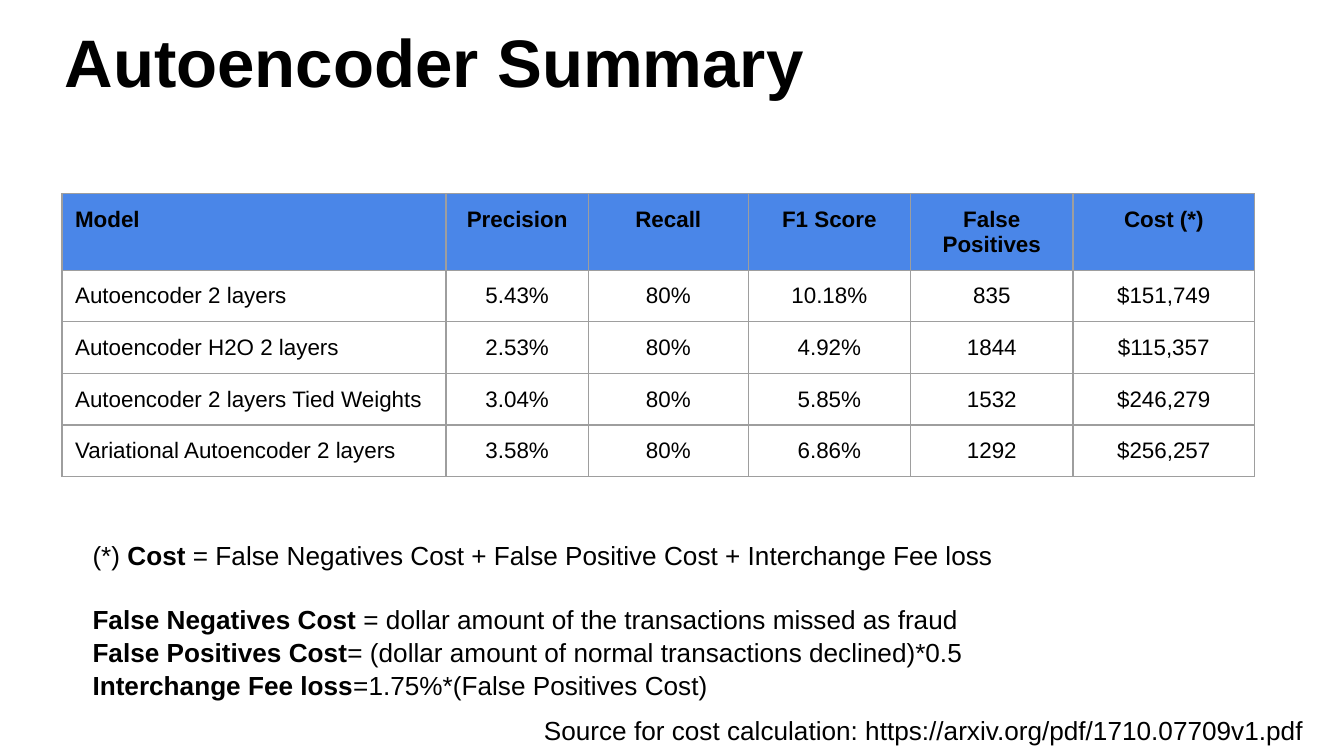
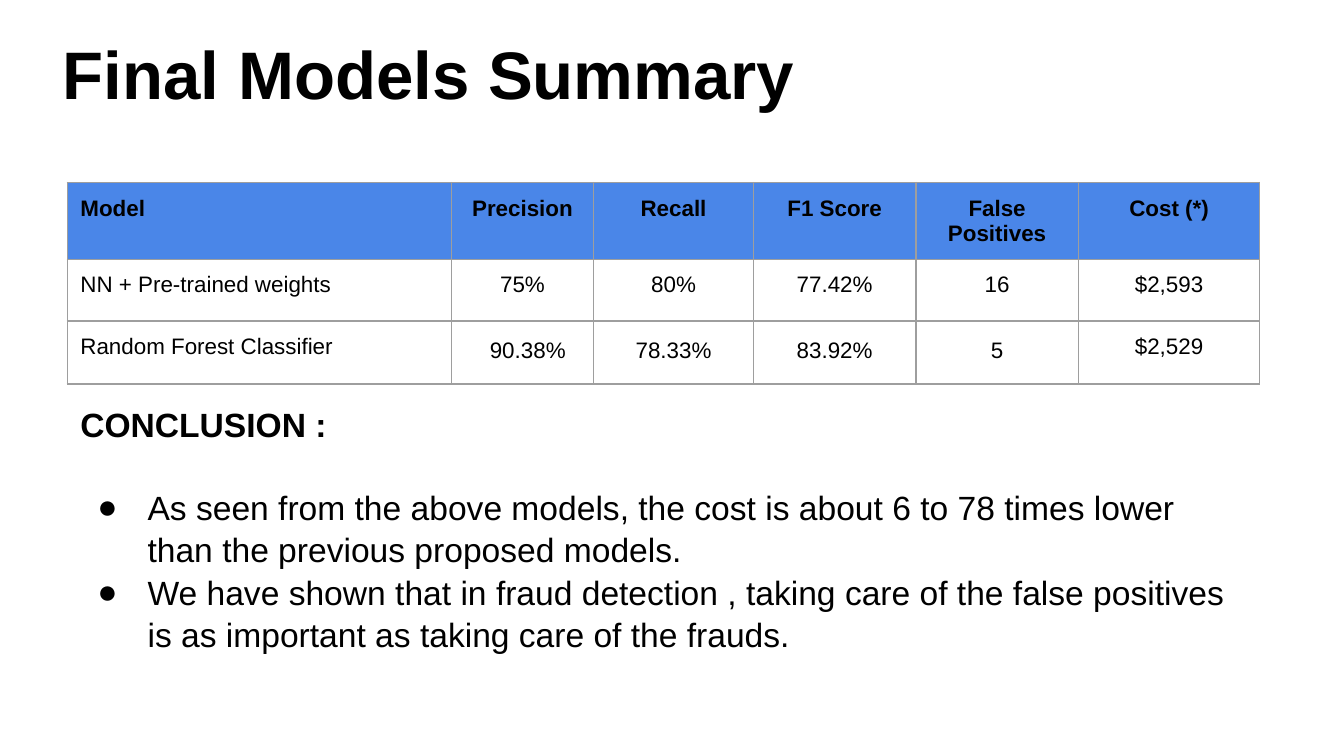
from lxml import etree
from pptx import Presentation
from pptx.dml.color import RGBColor
from pptx.enum.text import MSO_ANCHOR as Anchor, MSO_AUTO_SIZE as AutoSize, PP_ALIGN as Align
from pptx.oxml.ns import qn
from pptx.util import Cm, Pt

BLACK = RGBColor(0x00, 0x00, 0x00)
BLUE = RGBColor(0x4A, 0x86, 0xE8)
GREY = RGBColor(0x9E, 0x9E, 0x9E)
FONT = "Arial"
INSET = Cm(0.25)
TABLE_WIDTH = 22.53
COLUMN_WIDTHS = [7.26, 2.69, 3.02, 3.07, 3.07, 3.43]
HEADINGS = ["Model", "Precision", "Recall", "F1 Score", "False Positives", "Cost (*)"]


def add_spans(para, spans, size):
    """Add (text, bold) runs to a paragraph."""
    for text, bold in spans:
        span = para.add_run()
        span.text = text
        span.font.name = FONT
        span.font.size = Pt(size)
        span.font.bold = bold
        span.font.color.rgb = BLACK


def set_up_frame(box):
    """Give a text shape the common insets, wrapping and top anchor."""
    frame = box.text_frame
    frame.word_wrap = True
    frame.auto_size = AutoSize.NONE
    frame.vertical_anchor = Anchor.TOP
    frame.margin_left = frame.margin_right = INSET
    frame.margin_top = frame.margin_bottom = INSET
    return frame


# Content: lengths in cm; a note line is (spans, space before in points, bulleted)
autoencoder_page = {
    "title": "Autoencoder Summary",
    "title_place": (0.97, 0.13, 23.22, 2.06),
    "table_place": (1.17, 3.66),
    "row_heights": [1.3, 0.86, 0.86, 0.86, 0.86],
    "results": [
        ["Autoencoder 2 layers", "5.43%", "80%", "10.18%", "835", "$151,749"],
        ["Autoencoder H2O 2 layers", "2.53%", "80%", "4.92%", "1844", "$115,357"],
        ["Autoencoder 2 layers Tied Weights", "3.04%", "80%", "5.85%", "1532", "$246,279"],
        ["Variational Autoencoder 2 layers", "3.58%", "80%", "6.86%", "1292", "$256,257"],
    ],
    "notes": [
        ((1.5, 9.91, TABLE_WIDTH, 3.35), 14, 1.05, [
            ([("(*) ", False), ("Cost", True),
              (" = False Negatives Cost + False Positive Cost + Interchange Fee loss", False)], 0, False),
            ([("False Negatives Cost", True),
              (" = dollar amount of the transactions missed as fraud", False)], 17, False),
            ([("False Positives Cost", True),
              ("= (dollar amount of normal transactions declined)*0.5", False)], 0, False),
            ([("Interchange Fee loss", True), ("=1.75%*(False Positives Cost)", False)], 0, False),
        ]),
        ((10.03, 13.26, 14.91, 0.69), 14, 1, [
            ([("Source for cost calculation: https://arxiv.org/pdf/1710.07709v1.pdf", False)], 0, False),
        ]),
    ],
}
final_page = {
    "title": "Final Models Summary",
    "title_place": (0.94, 0.36, 23.22, 1.88),
    "table_place": (1.27, 3.45),
    "row_heights": [0.84, 1.17, 1.19],
    "results": [
        ["NN + Pre-trained weights", "75%", "80%", "77.42%", "16", "$2,593"],
        ["Random Forest Classifier", "90.38%", "78.33%", "83.92%", "5", "$2,529"],
    ],
    "notes": [
        ((1.27, 7.34, TABLE_WIDTH, 5.87), 18, 1.05, [
            ([("CONCLUSION :", True)], 0, False),
            ([("As seen from the above models, the cost is about 6 to 78 times lower "
               "than the previous proposed models.", False)], 22, True),
            ([("We have shown that in fraud detection , taking care of the false positives "
               "is as important as taking care of the frauds.", False)], 0, True),
        ]),
    ],
}

deck = Presentation()
deck.slide_width, deck.slide_height = Cm(25.4), Cm(14.29)

for content in (autoencoder_page, final_page):
    page = deck.slides.add_slide(deck.slide_layouts[5])

    # Title
    title = page.shapes.title
    title.left, title.top, title.width, title.height = [Cm(n) for n in content["title_place"]]
    para = set_up_frame(title).paragraphs[0]
    para.alignment = Align.LEFT
    add_spans(para, [(content["title"], True)], 36)

    # Results table
    rows = [HEADINGS] + content["results"]
    left, top = content["table_place"]
    table = page.shapes.add_table(
        len(rows), len(HEADINGS), Cm(left), Cm(top),
        Cm(TABLE_WIDTH), Cm(sum(content["row_heights"]))).table
    table.first_row = table.horz_banding = False
    for column, width in zip(table.columns, COLUMN_WIDTHS):
        column.width = Cm(width)
    for row, height in zip(table.rows, content["row_heights"]):
        row.height = Cm(height)
    for row_index, texts in enumerate(rows):
        for column_index, text in enumerate(texts):
            cell = table.cell(row_index, column_index)
            cell.margin_left = cell.margin_right = INSET
            cell.margin_top = cell.margin_bottom = INSET
            para = cell.text_frame.paragraphs[0]
            para.alignment = Align.CENTER if column_index else Align.LEFT
            add_spans(para, [(text, row_index == 0)], 12)
            # Cell borders come before the fill in the XML
            properties = cell._tc.get_or_add_tcPr()
            for side in ("lnL", "lnR", "lnT", "lnB"):
                line = etree.SubElement(properties, qn(f"a:{side}"), w=str(Pt(0.75)))
                fill = etree.SubElement(line, qn("a:solidFill"))
                etree.SubElement(fill, qn("a:srgbClr"), val=str(GREY))
            if row_index == 0:
                cell.fill.solid()
                cell.fill.fore_color.rgb = BLUE
            else:
                cell.fill.background()

    # The random forest scores sit a little lower, its precision a little to the right
    if content is final_page:
        for column_index in range(1, 5):
            table.cell(2, column_index).text_frame.paragraphs[0].line_spacing = 1.15
        table.cell(2, 1).margin_left = Cm(0.45)

    # Notes below the table
    for place, size, spacing, lines in content["notes"]:
        box = page.shapes.add_textbox(*[Cm(n) for n in place])
        frame = set_up_frame(box)
        for index, (spans, space_before, bulleted) in enumerate(lines):
            para = frame.add_paragraph() if index else frame.paragraphs[0]
            para.line_spacing = spacing
            if space_before:
                para.space_before = Pt(space_before)
            if bulleted:
                properties = para._p.get_or_add_pPr()
                properties.set("marL", str(Cm(1.27)))
                properties.set("indent", str(Cm(-0.95)))
                colour = etree.SubElement(properties, qn("a:buClr"))
                etree.SubElement(colour, qn("a:srgbClr"), val=str(BLACK))
                etree.SubElement(properties, qn("a:buFont"), typeface=FONT)
                etree.SubElement(properties, qn("a:buChar"), char="●")
            add_spans(para, spans, size)

deck.save("out.pptx")
